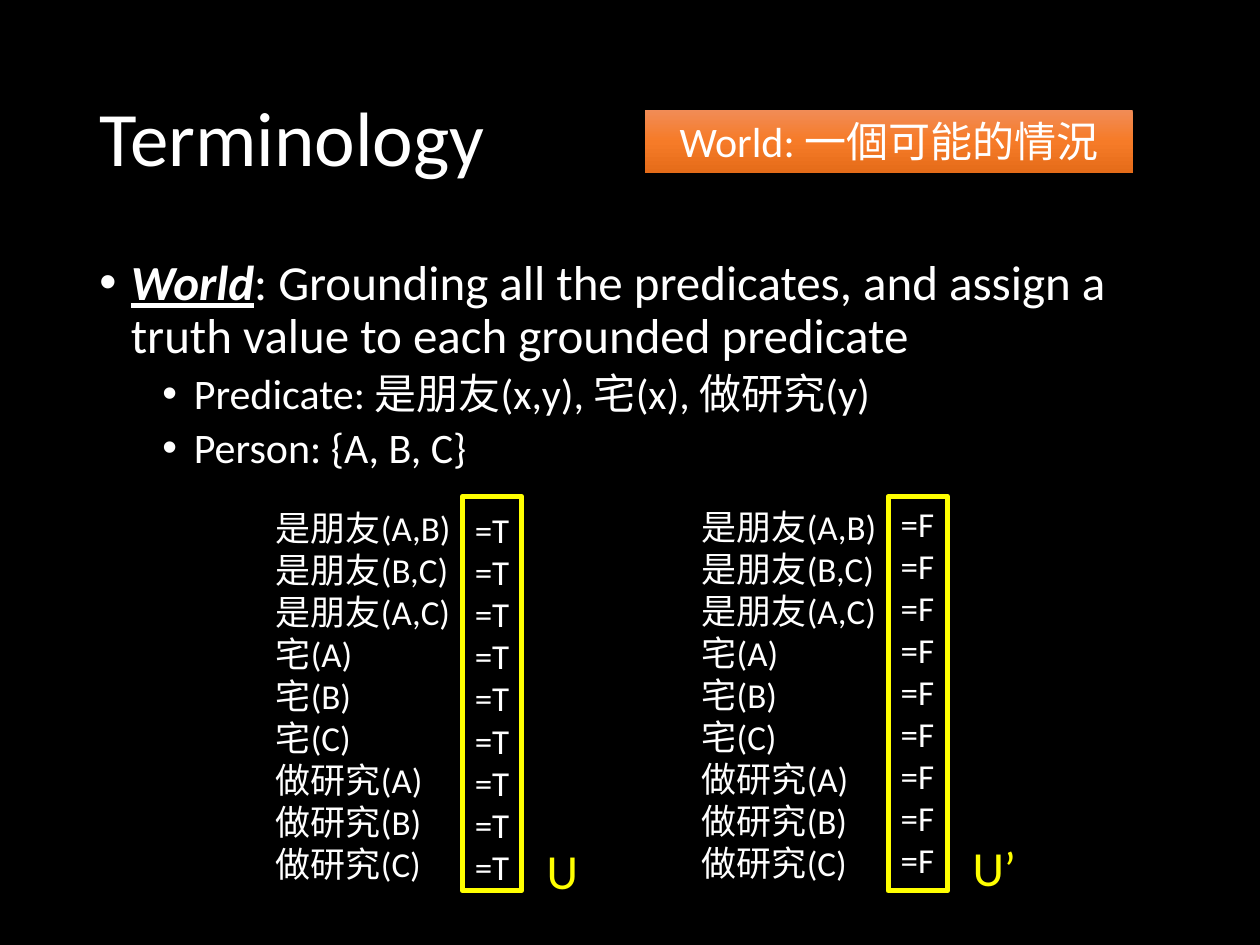
from dataclasses import dataclass

from lxml.etree import SubElement
from pptx import Presentation
from pptx.dml.color import RGBColor
from pptx.enum.shapes import MSO_SHAPE
from pptx.enum.text import MSO_ANCHOR, MSO_AUTO_SIZE, PP_ALIGN
from pptx.oxml import parse_xml
from pptx.oxml.ns import nsdecls, qn
from pptx.shapes.autoshape import Shape
from pptx.slide import Slide
from pptx.text.text import Font
from pptx.util import Inches, Pt

WHITE, YELLOW = "FFFFFF", "FFFF00"
FACTS = [f"是朋友({pair})" for pair in ("A,B", "B,C", "A,C")]
FACTS += [f"{name}({who})" for name in ("宅", "做研究") for who in "ABC"]


@dataclass
class World:
    """One assignment of a truth value to every fact."""

    left: float
    top: float
    mark: str
    mark_top: float
    label: str
    label_top: float
    label_width: float


@dataclass
class Point:
    """One bulleted paragraph."""

    lead: str
    rest: str
    size: int
    level: int
    before: int


WORLDS = [
    World(2.09, 3.97, "=T", 3.99, "U", 6.62, 0.45),
    World(5.47, 3.96, "=F", 3.94, "U’", 6.6, 0.55),
]
POINTS = [
    Point("World", ": Grounding all the predicates, and assign a truth value"
          " to each grounded predicate", 28, 0, 0),
    Point("", "Predicate: 是朋友(x,y), 宅(x), 做研究(y)", 24, 1, 5),
    Point("", "Person: {A, B, C}", 24, 1, 5),
]


def color(code: str) -> RGBColor:
    """Turn a hex string into a colour."""
    return RGBColor.from_string(code)


def style(font: Font, size: float, code: str = WHITE) -> None:
    """Set the face, size and colour of a font."""
    font.name, font.size = "Calibri", Pt(size)
    font.color.rgb = color(code)


def add_text(slide: Slide, box: tuple, text: str, size: float,
             code: str = WHITE, wrap: bool = False, grow: bool = True) -> Shape:
    """Add a text box with one paragraph per line of text."""
    shape = slide.shapes.add_textbox(*map(Inches, box))
    frame = shape.text_frame
    frame.text = text
    frame.word_wrap = wrap
    frame.auto_size = (MSO_AUTO_SIZE.SHAPE_TO_FIT_TEXT if grow
                       else MSO_AUTO_SIZE.NONE)
    for para in frame.paragraphs:
        style(para.font, size, code)
        for run in para.runs:
            style(run.font, size, code)
    return shape


def add_title(slide: Slide) -> None:
    """Add the slide title."""
    frame = add_text(slide, (0.69, 0.4, 8.62, 1.45), "Terminology", 44,
                     wrap=True, grow=False).text_frame
    frame.vertical_anchor = MSO_ANCHOR.MIDDLE
    frame.paragraphs[0].line_spacing = 0.9


def add_points(slide: Slide) -> None:
    """Add the bulleted definition."""
    frame = add_text(slide, (0.69, 2, 8.62, 4.76), "", 28,
                     wrap=True, grow=False).text_frame
    frame.text = "\n".join(point.lead for point in POINTS)
    for para, point in zip(frame.paragraphs, POINTS):
        para.level = point.level
        para.line_spacing, para.space_before = 0.9, Pt(point.before)
        props = para._p.get_or_add_pPr()
        props.set("marL", str(Inches(0.25 + 0.5 * point.level)))
        props.set("indent", str(Inches(-0.25)))
        for old in props.findall(qn("a:defRPr")):
            props.remove(old)
        SubElement(props, qn("a:buFont")).set("typeface", "Arial")
        SubElement(props, qn("a:buChar")).set("char", "•")
        style(para.font, point.size)
        for run in para.runs:
            run.font.bold = run.font.italic = run.font.underline = True
        para.add_run().text = point.rest
        for run in para.runs:
            style(run.font, point.size)


def add_rect(slide: Slide, box: tuple) -> Shape:
    """Add a plain rectangle without a fill."""
    shape = slide.shapes.add_shape(MSO_SHAPE.RECTANGLE, *map(Inches, box))
    shape.shadow.inherit = False
    shape.fill.background()
    return shape


def add_world(slide: Slide, world: World) -> None:
    """Add the facts, framed truth values and name of a world."""
    side = world.left + 1.58
    add_text(slide, (world.left, world.top, 1.66, 3.13), "\n".join(FACTS), 20)
    add_text(slide, (side, world.mark_top, 1.33, 3.13),
             "\n".join([world.mark] * len(FACTS)), 20, wrap=True)
    frame = add_rect(slide, (side, 3.94, 0.47, 3.13))
    frame.line.color.rgb, frame.line.width = color(YELLOW), Pt(3)
    add_text(slide, (side + 0.57, world.label_top, world.label_width, 0.57),
             world.label, 28, YELLOW)


def add_banner(slide: Slide) -> None:
    """Add the orange banner that explains a world."""
    shape = add_rect(slide, (5.12, 0.87, 3.87, 0.5))
    shape.line.fill.background()
    stops = "".join(
        f'<a:gs pos="{pos}000"><a:srgbClr val="{code}"/></a:gs>'
        for pos, code in ((0, "F18C57"), (50, "F67B28"), (100, "E56C19")))
    props = shape._element.spPr
    props.replace(props.find(qn("a:noFill")), parse_xml(
        f'<a:gradFill {nsdecls("a")}><a:gsLst>{stops}</a:gsLst>'
        '<a:lin ang="5400000" scaled="0"/></a:gradFill>'))
    frame = shape.text_frame
    frame.text = "World: 一個可能的情況"
    frame.vertical_anchor = MSO_ANCHOR.TOP
    frame.auto_size = MSO_AUTO_SIZE.SHAPE_TO_FIT_TEXT
    para = frame.paragraphs[0]
    para.alignment = PP_ALIGN.CENTER
    style(para.runs[0].font, 24)


def main() -> None:
    """Build and save the slide."""
    deck = Presentation()
    deck.slide_width, deck.slide_height = Inches(10), Inches(7.5)
    slide = deck.slides.add_slide(deck.slide_layouts[6])
    fill = slide.background.fill
    fill.solid()
    fill.fore_color.rgb = color("000000")
    add_title(slide)
    add_points(slide)
    for world in WORLDS:
        add_world(slide, world)
    add_banner(slide)
    deck.save("out.pptx")


if __name__ == "__main__":
    main()
